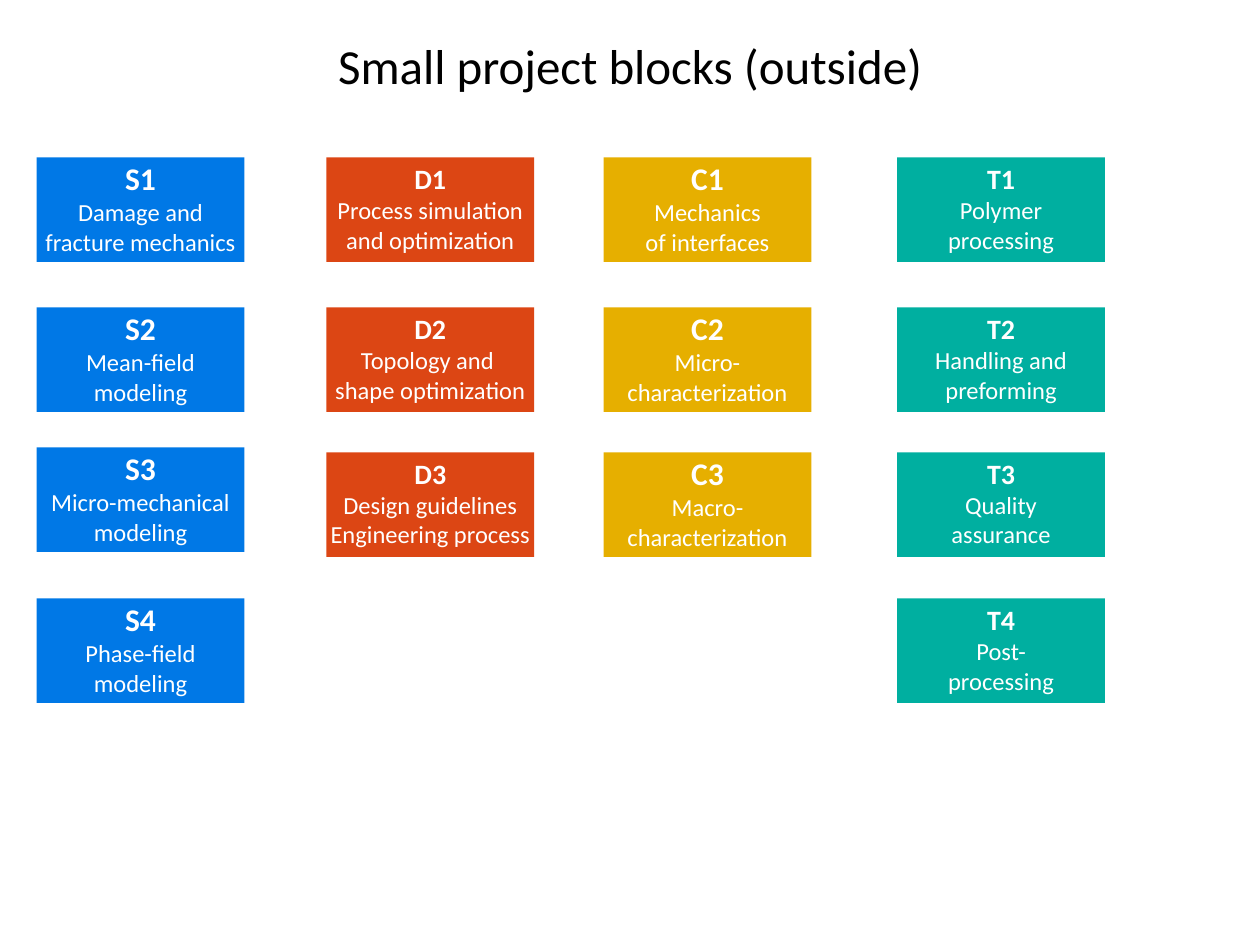
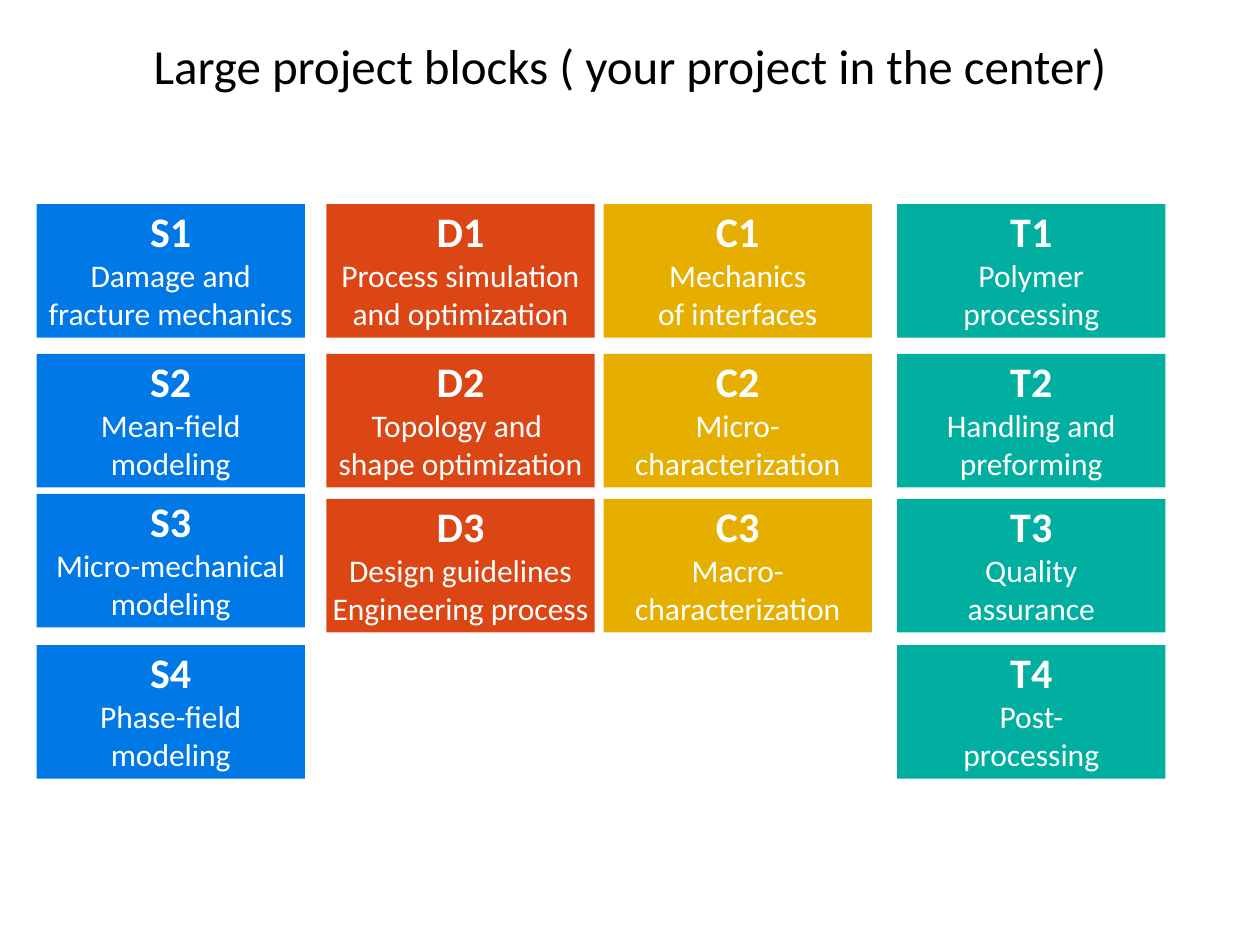
from copy import deepcopy

from pptx import Presentation
from pptx.dml.color import RGBColor
from pptx.enum.shapes import MSO_SHAPE
from pptx.enum.text import MSO_ANCHOR, PP_ALIGN
from pptx.oxml.ns import qn
from pptx.util import Inches, Pt

FONT = "Calibri"
COLORS = {
    "S": "0078E6",
    "D": "DC4614",
    "C": "E6AF00",
    "T": "00AFA0",
    "title": "000000",
    "label": "FFFFFF",
}
COLUMN_LEFTS = {"S": 0.29, "D": 2.59, "C": 4.79, "T": 7.12}
ROW_OFFSETS = [0, 1.19, 2.34, 3.5]
OFFSET_EXCEPTIONS = {"S3": 2.3}
TOPICS = {
    "S": [
        "Damage and\nfracture mechanics",
        "Mean-field\vmodeling",
        "Micro-mechanical\vmodeling",
        "Phase-field\vmodeling",
    ],
    "D": [
        "Process simulation\vand optimization",
        "Topology and \vshape optimization",
        "Design guidelines\vEngineering process",
    ],
    "C": [
        "Mechanics\nof interfaces",
        "Micro-\ncharacterization",
        "Macro-\ncharacterization",
    ],
    "T": [
        "Polymer\nprocessing",
        "Handling and\vpreforming",
        "Quality\vassurance",
        "Post-\vprocessing",
    ],
}


def format_paragraph(paragraph, size, color, bold=False):
    """Centre a paragraph and give its runs and line breaks one style."""
    paragraph.alignment = PP_ALIGN.CENTER
    for run in paragraph.runs:
        run.font.name = FONT
        run.font.size = Pt(size)
        run.font.bold = bold
        run.font.color.rgb = RGBColor.from_string(COLORS[color])
    for line_break in paragraph._p.findall(qn("a:br")):
        line_break.insert(0, deepcopy(paragraph.runs[0]._r.rPr))


def add_title(slide, text, left, top, width, height):
    """Place and format the title placeholder."""
    title = slide.shapes.title
    title.left, title.top = Inches(left), Inches(top)
    title.width, title.height = Inches(width), Inches(height)
    title.text_frame.text = text
    title.text_frame.vertical_anchor = MSO_ANCHOR.MIDDLE
    format_paragraph(title.text_frame.paragraphs[0], 28, "title")


def add_block(slide, code, topic, box, code_size, topic_size):
    """Draw one project block with its code above its topic."""
    shape = slide.shapes.add_shape(MSO_SHAPE.RECTANGLE, *map(Inches, box))
    shape.shadow.inherit = False
    shape.fill.solid()
    shape.fill.fore_color.rgb = RGBColor.from_string(COLORS[code[0]])
    shape.line.fill.background()
    text_frame = shape.text_frame
    text_frame.word_wrap = False
    text_frame.vertical_anchor = MSO_ANCHOR.MIDDLE
    text_frame.margin_left = text_frame.margin_right = Inches(0.1)
    text_frame.margin_top, text_frame.margin_bottom = Inches(0.05), Inches(0.08)
    text_frame.text = f"{code}\n{topic}"
    heading, *lines = text_frame.paragraphs
    format_paragraph(heading, code_size, "label", bold=True)
    for line in lines:
        format_paragraph(line, topic_size, "label")


def add_block_slide(presentation, title, top, block_size, code_sizes, topic_size):
    """Add a slide with one column of blocks for each project group."""
    slide = presentation.slides.add_slide(presentation.slide_layouts[5])
    add_title(slide, title, 0.75, 0.17, 8.5, 0.69)
    for group, topics in TOPICS.items():
        for number, (topic, offset) in enumerate(zip(topics, ROW_OFFSETS), 1):
            code = f"{group}{number}"
            block_top = top + OFFSET_EXCEPTIONS.get(code, offset)
            box = (COLUMN_LEFTS[group], block_top, *block_size)
            add_block(slide, code, topic, box, code_sizes[group], topic_size)


def main():
    """Build the small and the large block slides."""
    presentation = Presentation()
    presentation.slide_width, presentation.slide_height = Inches(10), Inches(7.5)
    add_block_slide(
        presentation, "Small project blocks (outside)", 1.25, (1.65, 0.83),
        {"S": 18, "D": 16, "C": 18, "T": 16}, 14,
    )
    add_block_slide(
        presentation, "Large project blocks ( your project in the center)", 1.62,
        (2.13, 1.06), dict.fromkeys(TOPICS, 24), 18,
    )
    presentation.save("out.pptx")


main()
